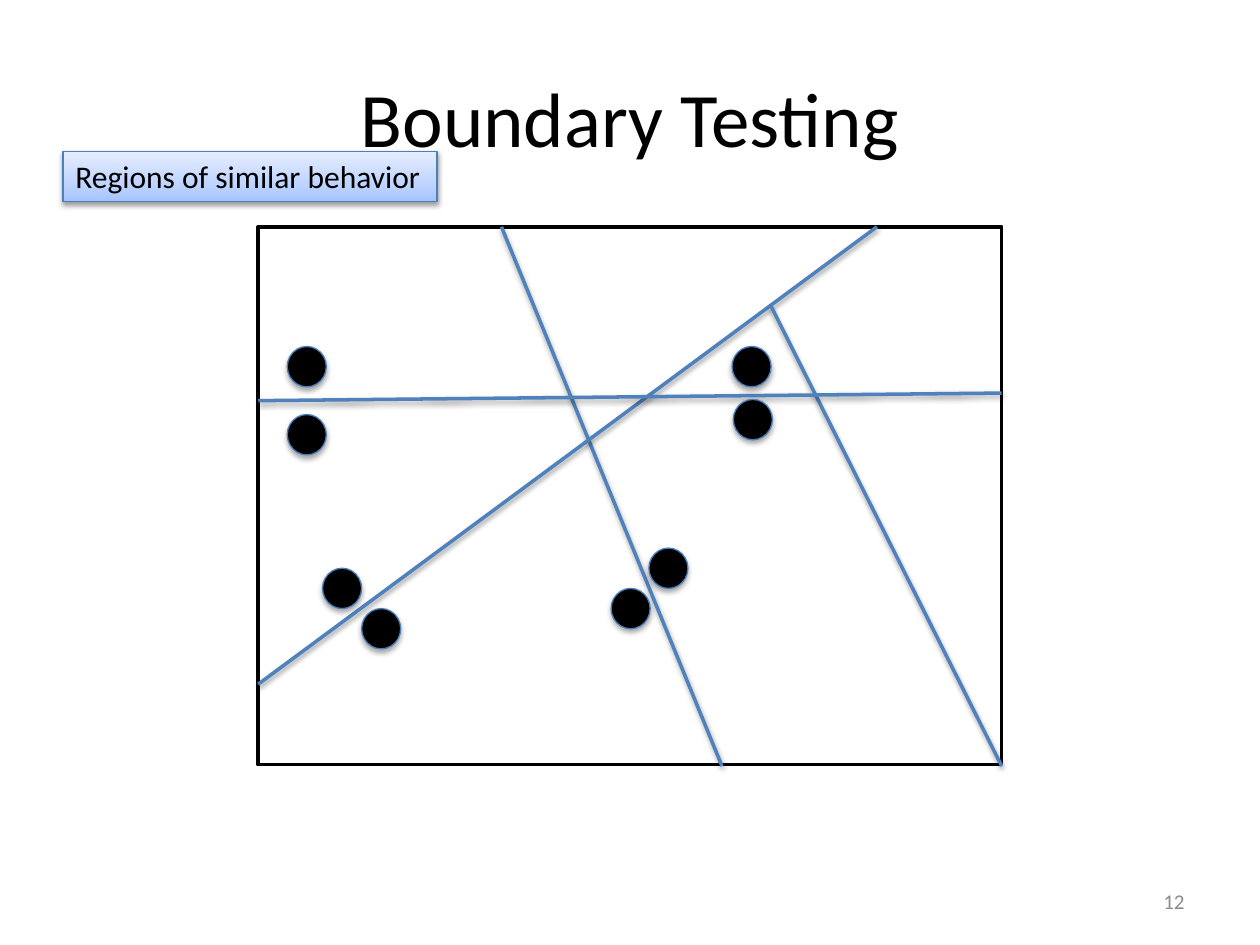
from copy import deepcopy

from pptx import Presentation
from pptx.dml.color import RGBColor
from pptx.enum.shapes import MSO_CONNECTOR, MSO_SHAPE
from pptx.enum.text import MSO_ANCHOR, MSO_AUTO_SIZE, PP_ALIGN
from pptx.oxml import parse_xml
from pptx.oxml.ns import nsdecls, qn
from pptx.util import Inches, Pt

STRAIGHT = MSO_CONNECTOR.STRAIGHT
RECTANGLE, OVAL = MSO_SHAPE.RECTANGLE, MSO_SHAPE.OVAL
LEFT, CENTER, RIGHT = PP_ALIGN.LEFT, PP_ALIGN.CENTER, PP_ALIGN.RIGHT
MIDDLE = MSO_ANCHOR.MIDDLE
GROW = MSO_AUTO_SIZE.SHAPE_TO_FIT_TEXT
color = RGBColor.from_string


def write_text(shape, text, size, hex_color="000000", align=LEFT, wrap=True):
    frame = shape.text_frame
    frame.word_wrap = wrap
    frame.vertical_anchor = MIDDLE
    paragraph = frame.paragraphs[0]
    paragraph.text = text
    paragraph.alignment = align
    font = paragraph.font
    font.name = "Calibri"
    font.size = Pt(size)
    font.color.rgb = color(hex_color)


def add_shadow(shape, opacity, distance):
    shape._element.spPr.append(parse_xml(
        f'<a:effectLst {nsdecls("a")}>'
        f'<a:outerShdw blurRad="{Pt(3.1)}" dist="{Pt(distance)}" dir="5400000" rotWithShape="0">'
        f'<a:srgbClr val="000000"><a:alpha val="{opacity * 1000}"/></a:srgbClr>'
        '</a:outerShdw></a:effectLst>'))


prs = Presentation()
prs.slide_width, prs.slide_height = Inches(10), Inches(7.5)
slide = prs.slides.add_slide(prs.slide_layouts[5])
shapes = slide.shapes

title = shapes.title
title.left, title.top = Inches(0.5), Inches(0.3)
title.width, title.height = Inches(9), Inches(1.25)
write_text(title, "Boundary Testing", 44, align=CENTER)

input_space = shapes.add_shape(RECTANGLE, Inches(2.05), Inches(1.8), Inches(5.9), Inches(4.27))
input_space.shadow.inherit = False
input_space.fill.solid()
input_space.fill.fore_color.rgb = color("FFFFFF")
input_space.line.color.rgb = color("000000")
input_space.line.width = Pt(2)

boundary_ends = [
    (3.98, 1.8, 5.73, 6.08),
    (6.96, 1.8, 2.05, 5.43),
    (6.12, 2.43, 7.95, 6.08),
    (2.05, 3.18, 7.95, 3.12),
]
for ends in boundary_ends:
    boundary = shapes.add_connector(STRAIGHT, *[Inches(end) for end in ends])
    boundary.line.color.rgb = color("4F81BD")
    boundary.line.width = Pt(2)
    add_shadow(boundary, opacity=38, distance=1.6)

region_label = shapes.add_shape(RECTANGLE, Inches(0.5), Inches(1.2), Inches(2.97), Inches(0.4))
region_label.fill.gradient()
region_label.fill.gradient_angle = 90
stop_list = region_label._element.spPr.find(qn("a:gradFill")).find(qn("a:gsLst"))
stop_list.append(deepcopy(stop_list[-1]))
label_stops = [(0, "A4C4FF"), (0.35, "BFD4FF"), (1, "E6EEFF")]
for stop, (position, hex_color) in zip(region_label.fill.gradient_stops, label_stops):
    stop.position = position
    stop.color.rgb = color(hex_color)
region_label.line.color.rgb = color("4B7EBC")
region_label.line.width = Pt(0.75)
add_shadow(region_label, opacity=38, distance=1.6)
write_text(region_label, "Regions of similar behavior", 18, wrap=False)
region_label.text_frame.auto_size = GROW

test_points = [
    (2.28, 2.75), (2.28, 3.29),
    (2.56, 4.51), (2.87, 4.83),
    (5.81, 2.75), (5.82, 3.17),
    (5.15, 4.35), (4.85, 4.67),
]
for left, top in test_points:
    test_point = shapes.add_shape(OVAL, Inches(left), Inches(top), Inches(0.31), Inches(0.32))
    test_point.fill.solid()
    test_point.fill.fore_color.rgb = color("000000")
    test_point.line.color.rgb = color("4B7EBC")
    test_point.line.width = Pt(0.75)
    add_shadow(test_point, opacity=35, distance=1.8)

page_number = shapes.add_textbox(Inches(7.17), Inches(6.95), Inches(2.33), Inches(0.4))
write_text(page_number, "12", 12, hex_color="8C8C8C", align=RIGHT)

prs.save("out.pptx")
